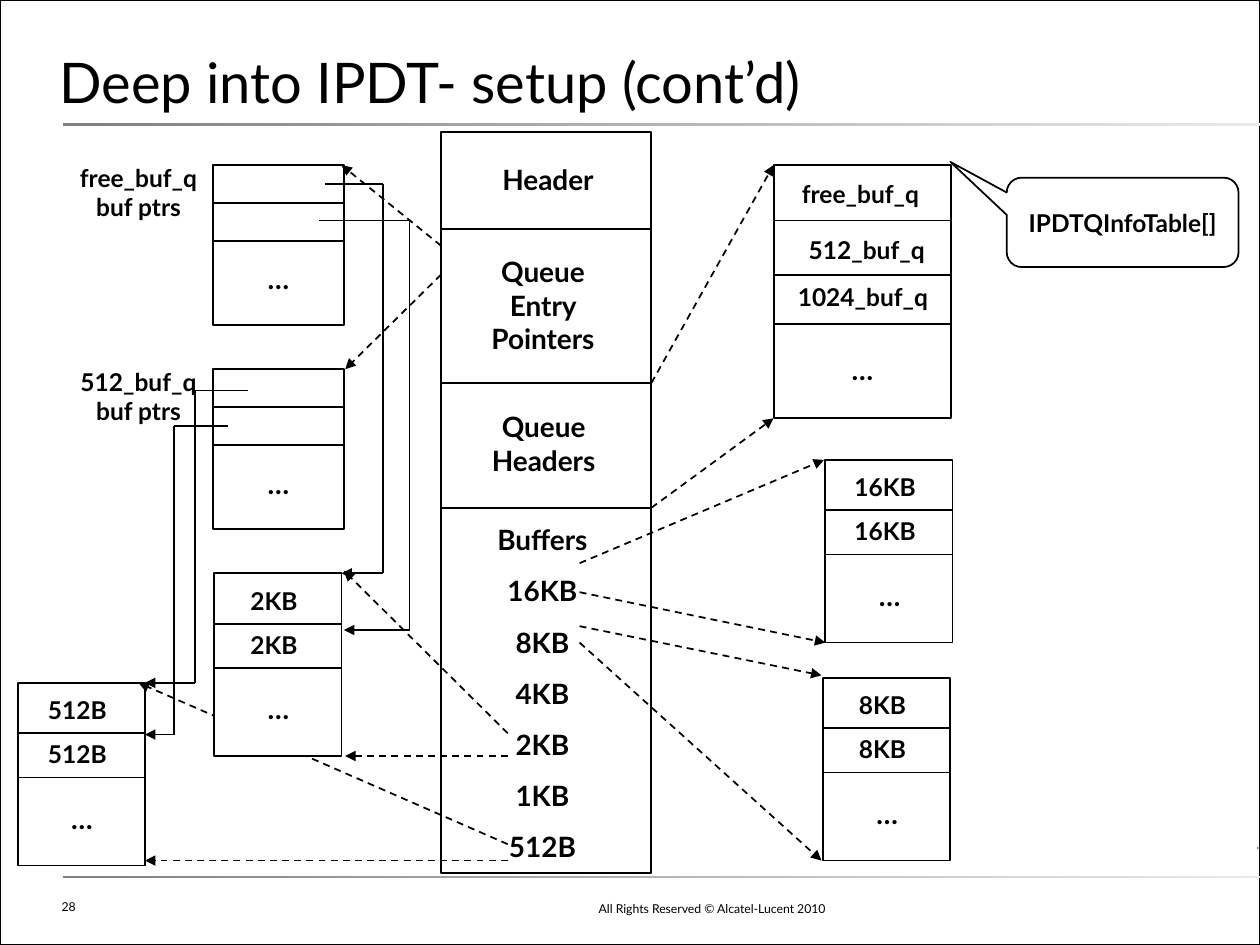
from lxml.etree import SubElement
from pptx import Presentation
from pptx.dml.color import RGBColor
from pptx.enum.dml import MSO_LINE_DASH_STYLE as DASH
from pptx.enum.shapes import MSO_CONNECTOR, MSO_SHAPE as SHAPE
from pptx.enum.text import MSO_ANCHOR as ANCHOR, PP_ALIGN as ALIGN
from pptx.oxml.ns import qn
from pptx.util import Inches, Pt

COLORS = {"ink": "000000", "paper": "FFFFFF", "rule": "808080", "fade": "EAEAEA", "mark": "D5D5D5"}
FONT = "Lato"
ROW_LABEL = {"size": Pt(14), "bold": True}
BLOCK_LABEL = {"size": Pt(16), "bold": True}
FINE_PRINT = {"size": Pt(7), "bold": False}


def color(name):
    return RGBColor.from_string(COLORS[name])


def inches(*values):
    return [Inches(value) for value in values]


def write(frame, lines, style, align=ALIGN.CENTER, anchor=ANCHOR.TOP, insets=(0.12, 0.12), gap=10):
    """Fill a text frame, one paragraph for each line."""
    side, end = inches(*insets)
    layout = {"word_wrap": True, "vertical_anchor": anchor, "margin_left": side,
              "margin_right": side, "margin_top": end, "margin_bottom": end}
    for name, value in layout.items():
        setattr(frame, name, value)
    for index, line in enumerate(lines):
        para = frame.add_paragraph() if index else frame.paragraphs[0]
        para.alignment = align
        if index:
            para.space_before = Pt(gap)
        span = para.add_run()
        span.text = line
        for name, value in {"name": FONT, **style}.items():
            setattr(span.font, name, value)
        span.font.color.rgb = color("ink")


def add_label(page, at, lines, style, **layout):
    box = page.shapes.add_textbox(*inches(*at))
    write(box.text_frame, lines, style, **layout)


def add_outline(page, at, kind=SHAPE.RECTANGLE, fill=None):
    box = page.shapes.add_shape(kind, *inches(*at))
    box.shadow.inherit = False
    if fill:
        box.fill.solid()
        box.fill.fore_color.rgb = color(fill)
    else:
        box.fill.background()
    box.line.color.rgb = color("ink")
    box.line.width = Pt(1)
    return box


def add_fading_bar(page, at, fade="fade"):
    bar = page.shapes.add_shape(SHAPE.RECTANGLE, *inches(*at))
    bar.shadow.inherit = False
    bar.line.fill.background()
    bar.fill.gradient()
    bar.fill.gradient_angle = 180
    for stop, name in zip(bar.fill.gradient_stops, (fade, "rule")):
        stop.color.rgb = color(name)


def add_line(page, start, end, arrow=False, dashed=False):
    line = page.shapes.add_connector(MSO_CONNECTOR.STRAIGHT, *inches(*start, *end))
    line.line.color.rgb = color("ink")
    line.line.width = Pt(1)
    if dashed:
        line.line.dash_style = DASH.DASH
    if arrow:
        SubElement(line.line._get_or_add_ln(), qn("a:tailEnd"), type="triangle")
    SubElement(line._element.spPr, qn("a:effectLst"))


def add_route(page, points):
    """Draw right-angled segments that end in an arrowhead."""
    for index in range(len(points) - 1):
        add_line(page, points[index], points[index + 1], arrow=index == len(points) - 2)


def add_stack(page, at, dividers, fill=None):
    """Draw a box that is cut into rows at the given heights."""
    left, _, width, _ = at
    add_outline(page, at, fill=fill)
    for y in dividers:
        add_line(page, (left, y), (left + width, y))


def add_memory_map(page):
    add_stack(page, (3.5, 1.05, 1.67, 5.88), (1.82, 3.04, 4.03))
    blocks = [
        ((3.77, 1.17, 1.16, 0.5), ["Header"]),
        ((3.63, 1.9, 1.36, 1.04), ["Queue Entry Pointers"]),
        ((3.7, 3.13, 1.23, 0.77), ["Queue Headers"]),
        ((3.63, 4.03, 1.35, 2.94), ["Buffers", "16KB", "8KB", "4KB", "2KB", "1KB", "512B"]),
    ]
    for at, lines in blocks:
        add_label(page, at, lines, BLOCK_LABEL)


def add_queue_table(page):
    add_stack(page, (6.14, 1.31, 1.41, 2.01), (1.75, 2.18, 2.57))
    for left, top, name in [(6.03, 1.3, "free_buf_q"), (6.08, 1.75, "512_buf_q"),
                            (6.05, 2.12, "1024_buf_q")]:
        add_label(page, (left, top, 1.6, 0.47), [name], ROW_LABEL)
    add_label(page, (6.33, 2.68, 1.03, 0.5), ["…"], BLOCK_LABEL)
    callout = add_outline(page, (7.99, 1.41, 1.84, 0.71), SHAPE.ROUNDED_RECTANGULAR_CALLOUT)
    for index, value in enumerate((-0.743, -0.676, 0.167)):
        callout.adjustments[index] = value
    write(callout.text_frame, ["IPDTQInfoTable[]"], ROW_LABEL, anchor=ANCHOR.MIDDLE)


def add_pointer_queue(page, top, name):
    add_stack(page, (1.69, top, 1.04, 1.27), (top + 0.3, top + 0.6))
    add_label(page, (0.41, top - 0.14, 1.38, 0.7), [f"{name} buf ptrs"], ROW_LABEL)
    add_label(page, (1.8, top + 0.65, 0.82, 0.5), ["…"], BLOCK_LABEL)


def add_buffer_pool(page, left, top, size, fill=None):
    add_stack(page, (left, top, 1.01, 1.45), (top + 0.4, top + 0.75), fill)
    for row in range(2):
        add_label(page, (left - 0.01, top - 0.02 + 0.35 * row, 0.97, 0.47), [size], ROW_LABEL)
    add_label(page, (left + 0.22, top + 0.82, 0.58, 0.5), ["…"], BLOCK_LABEL)


def add_frame(page):
    """Draw the border, the rules, the title and the foot of the page."""
    add_fading_bar(page, (9.98, 6.72, 0.01, 0.02), "mark")
    add_outline(page, (0, 0, 10, 7.5))
    add_label(page, (3.5, 7.07, 3.15, 0.25), ["All Rights Reserved © Alcatel-Lucent 2010"],
              FINE_PRINT, align=ALIGN.RIGHT, anchor=ANCHOR.BOTTOM, insets=(0.1, 0.05))
    for top in (6.95, 0.98):
        add_fading_bar(page, (0.5, top, 9.53, 0.02))
    add_label(page, (0.39, 7.09, 4.24, 0.23), ["28"], FINE_PRINT,
              align=ALIGN.LEFT, insets=(0.1, 0.05))
    title = page.shapes.title
    title.left, title.top, title.width, title.height = inches(0.47, 0.08, 9.06, 0.83)
    write(title.text_frame, ["Deep into IPDT- setup (cont’d)"], {"size": Pt(32), "bold": False},
          align=ALIGN.LEFT, anchor=ANCHOR.BOTTOM, insets=(0, 0))
    title.text_frame.paragraphs[0].line_spacing = 1.2


def main():
    deck = Presentation()
    deck.slide_width, deck.slide_height = inches(10, 7.5)
    page = deck.slides.add_slide(deck.slide_layouts[5])
    add_frame(page)

    # This arrow runs behind the filled 2KB pool.
    add_line(page, (4.03, 6.7), (1.1, 5.42), arrow=True, dashed=True)
    add_memory_map(page)
    add_queue_table(page)
    add_pointer_queue(page, 1.31, "free_buf_q")
    add_pointer_queue(page, 2.93, "512_buf_q")
    add_buffer_pool(page, 6.55, 3.65, "16KB")
    add_buffer_pool(page, 6.53, 5.38, "8KB")
    add_buffer_pool(page, 1.7, 4.55, "2KB", fill="paper")
    add_buffer_pool(page, 0.14, 5.42, "512B")

    expansions = [
        ((5.17, 3.04), (6.14, 1.31)), ((5.17, 4.03), (6.14, 3.32)),
        ((4.6, 4.47), (6.54, 3.65)), ((4.6, 4.7), (6.55, 5.1)),
        ((4.6, 4.97), (6.52, 5.36)), ((4.6, 5.1), (6.52, 6.83)),
        ((4.03, 5.82), (2.73, 4.53)), ((4.03, 6), (2.74, 6)),
        ((3.5, 1.95), (2.71, 1.31)), ((3.5, 2.18), (2.74, 2.93)),
        ((4.03, 6.83), (1.15, 6.83)),
    ]
    for start, end in expansions:
        add_line(page, start, end, arrow=True, dashed=True)

    pointer_routes = [
        [(2.58, 1.46), (3.04, 1.46), (3.04, 4.55), (2.71, 4.55)],
        [(2.53, 1.75), (3.25, 1.75), (3.25, 5), (2.73, 5)],
        [(1.81, 3.38), (1.38, 3.38), (1.38, 5.83), (1.15, 5.83)],
        [(1.97, 3.1), (1.55, 3.1), (1.55, 5.42), (1.15, 5.42)],
    ]
    for points in pointer_routes:
        add_route(page, points)
    deck.save("out.pptx")


if __name__ == "__main__":
    main()
